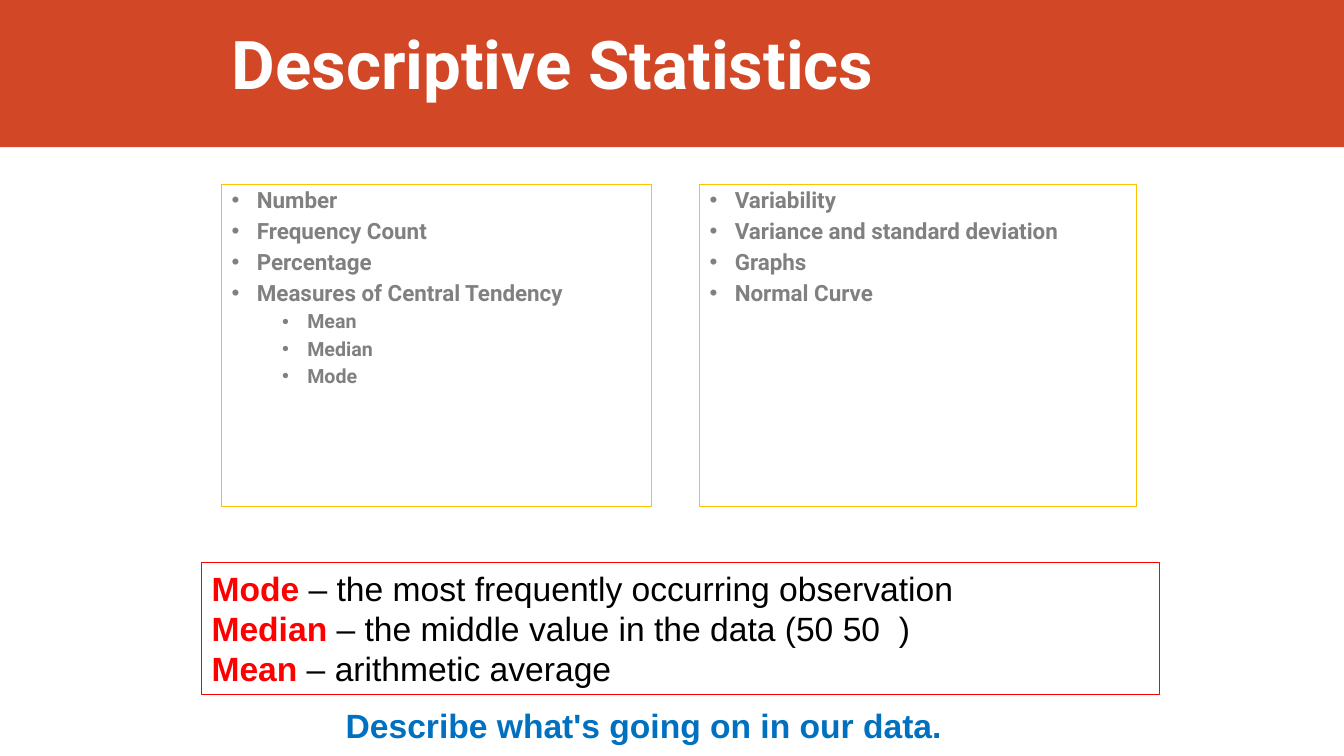
"""Build the Descriptive Statistics slide."""
from lxml.etree import SubElement
from pptx import Presentation
from pptx.dml.color import RGBColor
from pptx.enum.shapes import MSO_SHAPE as Shape
from pptx.enum.text import MSO_ANCHOR as Anchor, PP_ALIGN as Align
from pptx.oxml.ns import qn
from pptx.util import Inches, Pt

THEME = {
    "banner": "D24726", "title": "FFFFFF", "topic": "808080", "panel": "FFC000",
    "term": "FF0000", "meaning": "000000", "summary": "0070C0",
    "heading_font": "Roboto", "body_font": "Arial",
    "title_size": 48, "topic_sizes": (16, 14), "note_size": 24,
}
TITLE = "Descriptive Statistics"
PANELS = [
    ((2.2, 1.83, 4.26, 3.2), [
        ("Number", 0), ("Frequency Count", 0), ("Percentage", 0),
        ("Measures of Central Tendency", 0),
        ("Mean", 1), ("Median", 1), ("Mode", 1)]),
    ((6.94, 1.83, 4.33, 3.2), [
        ("Variability", 0), ("Variance and standard deviation", 0),
        ("Graphs", 0), ("Normal Curve", 0)]),
]
DEFINITIONS = [
    ("Mode", " – the most frequently occurring observation"),
    ("Median ", "– the middle value in the data (50 50  )"),
    ("Mean", " – arithmetic average"),
]
SUMMARY = "Describe what's going on in our data."


def color(name):
    return RGBColor.from_string(THEME[name])


def add_box(slide, box, fill=None, line=None):
    sp = slide.shapes.add_shape(Shape.RECTANGLE, *map(Inches, box))
    sp.shadow.inherit = False
    if fill:
        sp.fill.solid()
        sp.fill.fore_color.rgb = color(fill)
    else:
        sp.fill.background()
    if line:
        sp.line.color.rgb = color(line)
        sp.line.width = Pt(0.75)
    else:
        sp.line.fill.background()
    tf = sp.text_frame
    tf.word_wrap = True
    tf.vertical_anchor = Anchor.TOP
    return tf


def add_label(slide, box, anchor=Anchor.TOP, wrap=True):
    tf = slide.shapes.add_textbox(*map(Inches, box)).text_frame
    tf.word_wrap = wrap
    tf.vertical_anchor = anchor
    return tf


def paragraphs(tf, items):
    for i, item in enumerate(items):
        p = tf.add_paragraph() if i else tf.paragraphs[0]
        p.alignment = Align.LEFT
        yield p, item


def add_run(p, text, fill, size, font, bold=True):
    r = p.add_run()
    r.text = text
    r.font.name = THEME[font]
    r.font.size = Pt(size)
    r.font.bold = bold
    r.font.color.rgb = color(fill)


def set_bullet(p, level):
    p.level = level
    p.line_spacing = 0.9
    pPr = p._p.get_or_add_pPr()
    pPr.set("marL", str(Inches(0.25 + 0.5 * level)))
    pPr.set("indent", str(Inches(-0.25)))
    before = SubElement(pPr, qn("a:spcBef"))
    SubElement(before, qn("a:spcPct")).set("val", "30000")
    SubElement(pPr, qn("a:buFont")).set("typeface", THEME["body_font"])
    SubElement(pPr, qn("a:buChar")).set("char", "•")


def main():
    prs = Presentation()
    prs.slide_width, prs.slide_height = Inches(13.33), Inches(7.5)
    slide = prs.slides.add_slide(prs.slide_layouts[6])

    add_box(slide, (0, 0, 13.33, 1.46), fill="banner")
    tf = add_label(slide, (2.2, 0, 7.7, 1.07), Anchor.BOTTOM)
    add_run(tf.paragraphs[0], TITLE, "title", THEME["title_size"], "heading_font")

    for box, topics in PANELS:
        tf = add_box(slide, box, line="panel")
        for p, (topic, level) in paragraphs(tf, topics):
            set_bullet(p, level)
            add_run(p, topic, "topic", THEME["topic_sizes"][level], "heading_font")

    size = THEME["note_size"]
    tf = add_label(slide, (3.33, 6.94, 6.17, 0.5), wrap=False)
    add_run(tf.paragraphs[0], SUMMARY, "summary", size, "body_font")

    tf = add_box(slide, (2, 5.58, 9.5, 1.31), line="term")
    for p, (term, meaning) in paragraphs(tf, DEFINITIONS):
        add_run(p, term, "term", size, "body_font")
        add_run(p, meaning, "meaning", size, "body_font", bold=False)

    prs.save("out.pptx")


if __name__ == "__main__":
    main()
